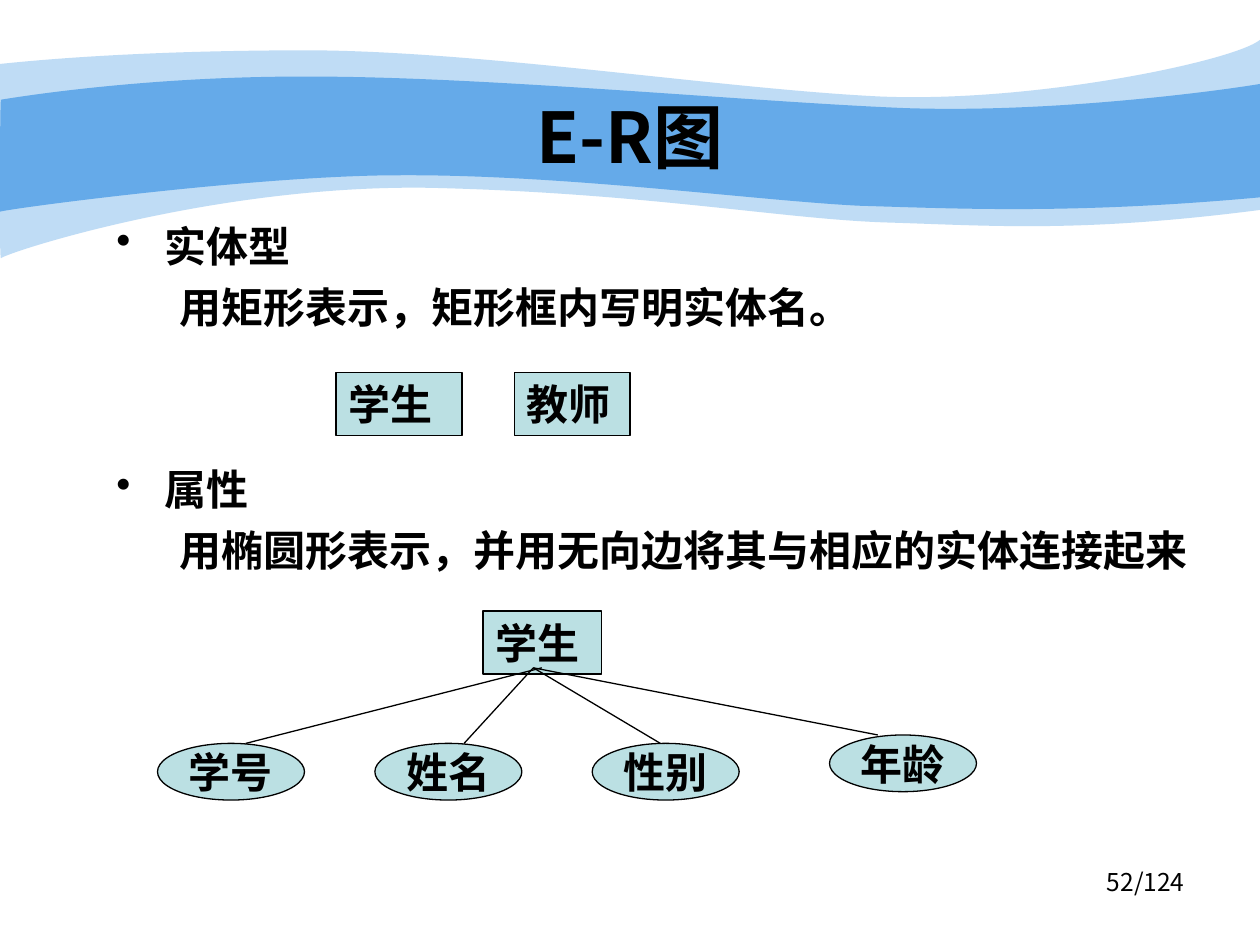
from dataclasses import dataclass

from pptx import Presentation
from pptx.dml.color import RGBColor
from pptx.enum.shapes import MSO_CONNECTOR, MSO_SHAPE
from pptx.enum.text import MSO_ANCHOR, PP_ALIGN
from pptx.oxml import parse_xml
from pptx.oxml.ns import nsdecls, qn
from pptx.oxml.xmlchemy import OxmlElement
from pptx.slide import Slide
from pptx.text.text import TextFrame, _Paragraph
from pptx.util import Emu, Inches, Pt

WIDE, HIGH = Inches(10), Inches(7.5)
COLS, ROWS = 120, 90
HUES = {"wave": "65AAE9", "node": "BBE0E3", "ink": "000000"}
SANS = "Noto Sans CJK SC"
LEAD = 1.2
Point = tuple[float, float]


@dataclass
class Box:
    col: float
    row: float
    cols: float
    rows: float


@dataclass
class Node:
    text: str
    box: Box
    oval: bool = False


@dataclass
class Wave:
    top: list[Point]
    base: list[Point]
    alpha: int = 100


@dataclass
class Item:
    text: str
    left: float
    first: float
    gap: float
    dot: bool = False


@dataclass
class Edge:
    start: Point
    end: Point


WAVES = [
    Wave(
        [(0, 6.1), (2.9, 5.8), (12.8, 4.8), (29.6, 4.8), (46.3, 4.9),
         (69, 8.5), (83.9, 9.2), (98.6, 9.8), (117.6, 5.8), (120, 3.8)],
        [(120, 20), (103, 22.2), (94.4, 21.5), (84.6, 21.2), (74.6, 20.9),
         (61.8, 18.4), (41.2, 17.9), (20.6, 17.5), (0.5, 24.1), (0.1, 24.6),
         (-0.1, 25.2), (0, 9.2), (0, 6.1)],
        41,
    ),
    Wave(
        [(0.1, 9.5), (0.2, 9.5), (13.2, 7.2), (29.8, 7.3), (46.3, 7.3),
         (71.4, 9.7), (86.2, 10.3), (100.9, 10.8), (117.1, 8.5), (120, 8)],
        [(120, 18.8), (102.4, 20.4), (91.8, 19.9), (81.8, 19.6), (71.9, 19.1),
         (53.6, 16.6), (38, 16.7), (24.4, 16.7), (-0.2, 20), (-0.1, 20.2),
         (0, 20.2), (0, 9.5), (0.1, 9.5)],
    ),
]
ITEMS = [
    Item("实体型", 0.38, -0.38, 6, True),
    Item("用矩形表示，矩形框内写明实体名。", 0.81, -0.31, 6),
    Item("属性", 0.38, -0.38, 75.6, True),
    Item("用椭圆形表示，并用无向边将其与相应的实体连接起来", 0.81, -0.31, 6),
]
NODES = [
    Node("学生", Box(32, 35.5, 12, 6)),
    Node("教师", Box(49, 35.5, 11, 6)),
    Node("学生", Box(46, 58.2, 11.3, 6)),
    *(Node(text, Box(15 + 20.7 * i, 70.8, 14, 5.4), True)
      for i, text in enumerate(("学号", "姓名", "性别"))),
    Node("年龄", Box(79, 70, 14, 5.4), True),
]
EDGES = [
    Edge((51.6, 63.6), (23.4, 70.8)),
    Edge((50.8, 63.6), (44.2, 70.8)),
    Edge((50.8, 63.6), (62.9, 70.8)),
    Edge((50.8, 63.6), (83.6, 70)),
]


def spot(col: float, row: float) -> tuple[Emu, Emu]:
    return Emu(round(WIDE * col / COLS)), Emu(round(HIGH * row / ROWS))


def place(box: Box) -> tuple[Emu, ...]:
    return *spot(box.col, box.row), *spot(box.cols, box.rows)


def tint(name: str) -> RGBColor:
    return RGBColor.from_string(HUES[name])


def add_wave(slide: Slide, wave: Wave) -> None:
    pts = [spot(*p) for p in wave.top + wave.base]
    pen = slide.shapes.build_freeform(*pts[0])
    pen.add_line_segments(pts[1:], close=True)
    shape = pen.convert_to_shape()
    props = shape._element.spPr
    legs = list(props.iter(qn("a:lnTo")))
    turn = len(wave.top) - 1
    bends = legs[:turn] + legs[turn + 1:]
    for i in range(0, len(bends), 3):
        curve = OxmlElement("a:cubicBezTo")
        bends[i].addprevious(curve)
        for leg in bends[i:i + 3]:
            curve.append(leg[0])
            leg.getparent().remove(leg)
    shape.shadow.inherit = False
    shape.fill.solid()
    shape.fill.fore_color.rgb = tint("wave")
    shape.line.fill.background()
    if wave.alpha < 100:
        alpha = OxmlElement("a:alpha")
        alpha.set("val", str(wave.alpha * 1000))
        props.find(".//" + qn("a:srgbClr")).append(alpha)


def set_frame(frame: TextFrame, wrap: bool = True) -> None:
    frame.word_wrap = wrap
    frame.vertical_anchor = MSO_ANCHOR.TOP if wrap else MSO_ANCHOR.MIDDLE
    frame.margin_left = frame.margin_right = Inches(0.1)
    frame.margin_top = frame.margin_bottom = Inches(0.05)


def add_run(para: _Paragraph, text: str, size: float, face: str, bold: bool = True) -> None:
    para.line_spacing = Pt(size * LEAD)
    run = para.add_run()
    run.text = text
    font = run.font
    font.size, font.bold, font.name = Pt(size), bold, face
    font.color.rgb = tint("ink")
    east = OxmlElement("a:ea")
    east.set("typeface", SANS)
    run._r.rPr.find(qn("a:latin")).addnext(east)


def add_label(slide: Slide, box: Box, text: str, size: float,
              align: PP_ALIGN, bold: bool) -> None:
    frame = slide.shapes.add_textbox(*place(box)).text_frame
    set_frame(frame)
    para = frame.paragraphs[0]
    para.alignment = align
    add_run(para, text, size, SANS, bold)


def add_list(slide: Slide, box: Box, items: list[Item]) -> None:
    frame = slide.shapes.add_textbox(*place(box)).text_frame
    set_frame(frame)
    for i, item in enumerate(items):
        para = frame.add_paragraph() if i else frame.paragraphs[0]
        para.space_before = Pt(item.gap if i else 0)
        add_run(para, item.text, 24, "Arial")
        props = para._p.get_or_add_pPr()
        props.set("marL", str(Inches(item.left)))
        props.set("indent", str(Inches(item.first)))
        mark = 'buChar %s char="•"' if item.dot else "buNone %s"
        props.append(parse_xml(f"<a:{mark % nsdecls('a')}/>"))


def add_node(slide: Slide, node: Node) -> None:
    kind = MSO_SHAPE.OVAL if node.oval else MSO_SHAPE.RECTANGLE
    shape = slide.shapes.add_shape(kind, *place(node.box))
    shape.shadow.inherit = False
    shape.fill.solid()
    shape.fill.fore_color.rgb = tint("node")
    shape.line.color.rgb = tint("ink")
    shape.line.width = Pt(0.75)
    frame = shape.text_frame
    set_frame(frame, not node.oval)
    para = frame.paragraphs[0]
    para.alignment = PP_ALIGN.CENTER if node.oval else PP_ALIGN.LEFT
    add_run(para, node.text, 24, "Times New Roman")


def add_edge(slide: Slide, edge: Edge) -> None:
    line = slide.shapes.add_connector(
        MSO_CONNECTOR.STRAIGHT, *spot(*edge.start), *spot(*edge.end))
    line.line.color.rgb = tint("ink")
    line.line.width = Pt(0.75)
    line._element.spPr.append(OxmlElement("a:effectLst"))


def main() -> None:
    deck = Presentation()
    deck.slide_width, deck.slide_height = WIDE, HIGH
    slide = deck.slides.add_slide(deck.slide_layouts[6])
    for wave in WAVES:
        add_wave(slide, wave)
    add_label(slide, Box(86, 82, 28, 6.2), "52/124", 14, PP_ALIGN.RIGHT, False)
    add_label(slide, Box(6, 8.3, 108, 11.2), "E-R图", 40, PP_ALIGN.CENTER, True)
    add_list(slide, Box(9.9, 20.4, 107.7, 54), ITEMS)
    for node in NODES:
        add_node(slide, node)
    for edge in EDGES:
        add_edge(slide, edge)
    deck.save("out.pptx")


if __name__ == "__main__":
    main()
